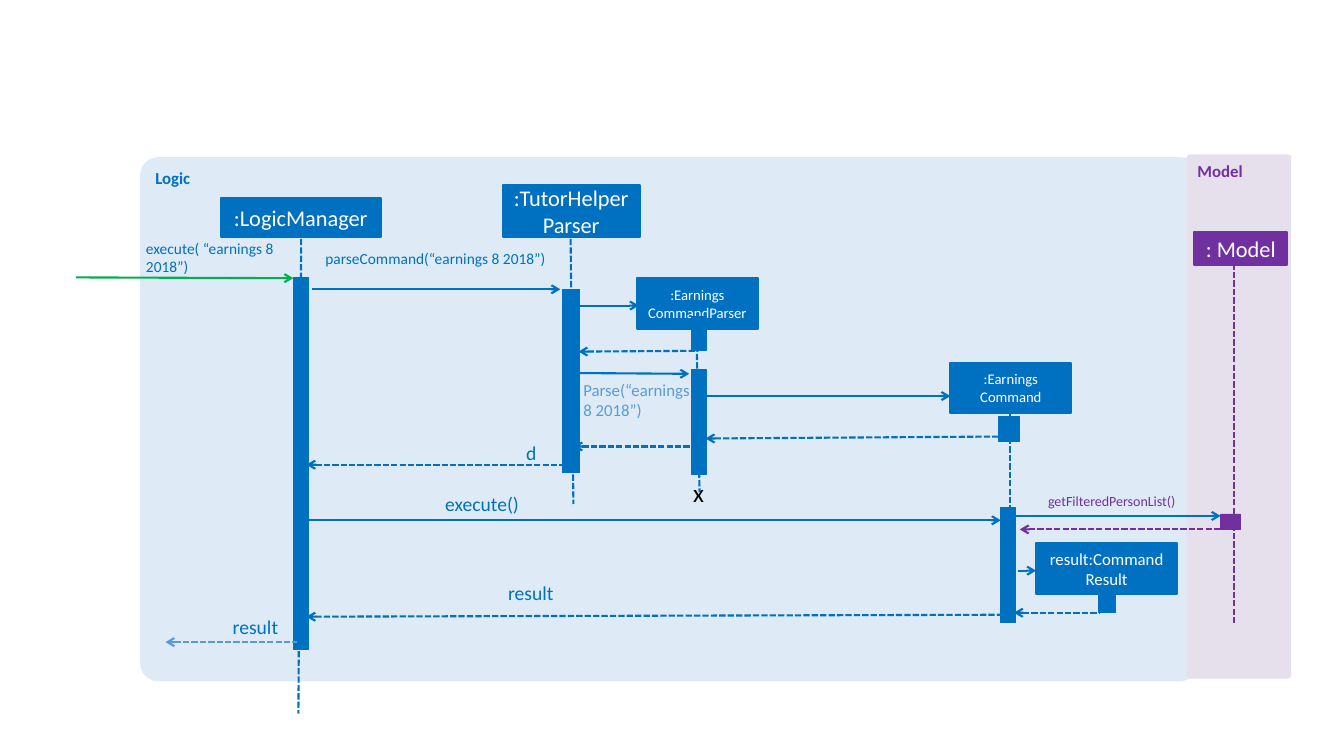
import pptx
import pptx.util
import pptx.dml.color
import pptx.enum.dml
import pptx.enum.shapes
import pptx.enum.text
import pptx.oxml
import pptx.oxml.ns

Cm, Pt = pptx.util.Cm, pptx.util.Pt
RECT = pptx.enum.shapes.MSO_SHAPE.RECTANGLE
ROUNDED = pptx.enum.shapes.MSO_SHAPE.ROUNDED_RECTANGLE
LEFT = pptx.enum.text.PP_ALIGN.LEFT
CENTER = pptx.enum.text.PP_ALIGN.CENTER
RIGHT = pptx.enum.text.PP_ALIGN.RIGHT
TOP = pptx.enum.text.MSO_ANCHOR.TOP
MIDDLE = pptx.enum.text.MSO_ANCHOR.MIDDLE

COLORS = {
    "logic": "0070C0", "logic_panel": "DEEBF7",
    "model": "7030A0", "model_panel": "E6E0EC",
    "entry": "00B050", "light": "5B9BD5",
    "white": "FFFFFF", "black": "000000",
}


class SequenceDiagram:
    """Draws the parts of a sequence diagram; all lengths are in cm."""

    font = "Calibri"
    line_width = 1.5

    def __init__(self, slide):
        self.shapes = slide.shapes

    def color(self, name):
        return pptx.dml.color.RGBColor.from_string(COLORS[name])

    def set_text(self, frame, text, size, color, align=LEFT, anchor=TOP, bold=False):
        frame.word_wrap = True
        frame.vertical_anchor = anchor
        frame.text = text
        for paragraph in frame.paragraphs:
            paragraph.alignment = align
            for run in paragraph.runs:
                run.font.name = self.font
                run.font.size = Pt(size)
                run.font.bold = bold
                run.font.color.rgb = self.color(color)

    def block(self, kind, place, fill, line_width=None):
        shape = self.shapes.add_shape(kind, *map(Cm, place))
        shape.shadow.inherit = False
        shape.fill.solid()
        shape.fill.fore_color.rgb = self.color(fill)
        if line_width is None:
            shape.line.fill.background()
        else:
            shape.line.color.rgb = self.color(fill)
            shape.line.width = Pt(line_width)
        return shape

    def panel(self, text, color, *place):
        panel = self.block(ROUNDED, place, color + "_panel")
        panel.adjustments[0] = 0.035
        self.set_text(panel.text_frame, text, 12, color, bold=True)

    def participant(self, text, size, color, *place):
        head = self.block(RECT, place, color, self.line_width)
        self.set_text(head.text_frame, text, size, "white", CENTER, MIDDLE)

    def activation(self, color, *place):
        self.block(RECT, place, color, 0.5)

    def line(self, color, ends, dashed=False, arrow=None):
        connector = self.shapes.add_connector(
            pptx.enum.shapes.MSO_CONNECTOR.STRAIGHT, *map(Cm, ends))
        connector.line.color.rgb = self.color(color)
        connector.line.width = Pt(self.line_width)
        if dashed:
            connector.line.dash_style = pptx.enum.dml.MSO_LINE.SQUARE_DOT
        properties = connector._element.spPr
        if arrow:
            outline = properties.find(pptx.oxml.ns.qn("a:ln"))
            outline.append(self.element(arrow, ' type="arrow"'))
        properties.append(self.element("effectLst"))

    def element(self, tag, attributes=""):
        return pptx.oxml.parse_xml(
            f"<a:{tag} {pptx.oxml.ns.nsdecls('a')}{attributes}/>")

    def lifeline(self, color, *ends):
        self.line(color, ends, dashed=True)

    def call(self, color, *ends):
        self.line(color, ends, arrow="tailEnd")

    def reply(self, color, *ends):
        self.line(color, ends, dashed=True, arrow="headEnd")

    def label(self, text, size, color, align, place, inset=False):
        frame = self.shapes.add_textbox(*map(Cm, place)).text_frame
        if not inset:
            frame.margin_left = frame.margin_right = 0
            frame.margin_top = frame.margin_bottom = 0
        frame.auto_size = pptx.enum.text.MSO_AUTO_SIZE.SHAPE_TO_FIT_TEXT
        self.set_text(frame, text, size, color, align)


def main():
    deck = pptx.Presentation()
    deck.slide_width, deck.slide_height = Cm(33.87), Cm(19.05)
    diagram = SequenceDiagram(deck.slides.add_slide(deck.slide_layouts[6]))

    # Component panels
    diagram.panel("Logic", "logic", 3.53, 3.96, 26.67, 13.21)
    diagram.panel("Model", "model", 29.9, 3.89, 2.64, 13.21)

    # Lifelines: colour, start, end
    for lifeline in (
        ("logic", 7.59, 6.02, 7.52, 17.98),
        ("logic", 14.38, 6.02, 14.45, 12.7),
        ("logic", 17.55, 8.28, 17.63, 12.4),
        ("logic", 25.45, 10.19, 25.45, 15.14),
        ("model", 31.09, 6.43, 31.09, 15.7),
    ):
        diagram.lifeline(*lifeline)

    # Participants: text, size, colour, place
    for participant in (
        (":LogicManager", 16, "logic", 5.56, 5, 4.04, 0.97),
        (":TutorHelperParser", 16, "logic", 12.67, 4.67, 3.45, 1.3),
        (":Earnings\vCommandParser", 10.5, "logic", 16.05, 7.01, 3.05, 1.27),
        (":Earnings\vCommand", 10.5, "logic", 23.95, 9.14, 3.05, 1.27),
        ("result:Command Result", 12, "logic", 26.11, 13.69, 3.56, 1.27),
        (": Model", 16, "model", 30.1, 5.84, 2.34, 0.84),
    ):
        diagram.participant(*participant)

    # Activation bars: colour, place
    for activation in (
        ("logic", 7.39, 6.99, 0.38, 9.37),
        ("logic", 14.17, 7.29, 0.43, 4.62),
        ("logic", 17.42, 7.98, 0.38, 0.86),
        ("logic", 17.42, 9.32, 0.38, 2.64),
        ("logic", 25.17, 10.49, 0.51, 0.64),
        ("logic", 25.22, 12.78, 0.36, 2.9),
        ("logic", 27.69, 14.96, 0.43, 0.48),
        ("model", 30.76, 12.95, 0.51, 0.38),
    ):
        diagram.activation(*activation)

    # Calls: colour, caller, callee
    for call in (
        ("entry", 1.91, 6.99, 7.39, 7.01),
        ("logic", 7.87, 7.29, 14.12, 7.29),
        ("logic", 14.45, 7.7, 16.1, 7.7),
        ("logic", 14.58, 9.4, 17.37, 9.42),
        ("logic", 17.78, 9.98, 23.95, 9.98),
        ("logic", 7.54, 13.11, 25.22, 13.11),
        ("logic", 25.6, 13, 30.76, 13),
        ("logic", 25.65, 14.38, 26.11, 14.38),
    ):
        diagram.call(*call)

    # Replies: colour, caller, callee
    for reply in (
        ("logic", 14.58, 8.86, 17.6, 8.84),
        ("logic", 17.78, 11.05, 25.22, 11),
        ("logic", 14.45, 11.25, 17.45, 11.25),
        ("logic", 7.72, 11.71, 14.25, 11.71),
        ("model", 25.7, 13.34, 30.76, 13.34),
        ("logic", 25.55, 15.44, 27.69, 15.44),
        ("logic", 7.72, 15.54, 25.45, 15.49),
        ("light", 4.17, 16.18, 7.49, 16.18),
    ):
        diagram.reply(*reply)

    # Message labels: text, size, colour, alignment, place
    for label in (
        ("execute( “earnings 8 2018”)", 11, "logic", LEFT, (3.68, 6.02, 4.32, 0.94)),
        ("parseCommand(“earnings 8 2018”)", 11, "logic", LEFT, (8.2, 6.27, 6.15, 0.48)),
        ("d", 14, "logic", RIGHT, (11.13, 11.1, 2.39, 0.61)),
        ("execute()", 14, "logic", RIGHT, (10.69, 12.4, 2.39, 0.61)),
        ("getFilteredPersonList()", 10, "model", RIGHT, (24.51, 12.4, 5.11, 0.43)),
        ("result", 14, "logic", RIGHT, (12.22, 14.63, 1.73, 0.61)),
        ("result", 14, "logic", RIGHT, (4.9, 15.49, 2.11, 0.61)),
        ("Parse(“earnings 8 2018”)", 12, "light", LEFT, (14.45, 9.45, 3.43, 1.27), True),
        ("x", 18, "black", LEFT, (17.22, 11.91, 1.04, 1.02), True),
    ):
        diagram.label(*label)

    deck.save("out.pptx")


if __name__ == "__main__":
    main()
